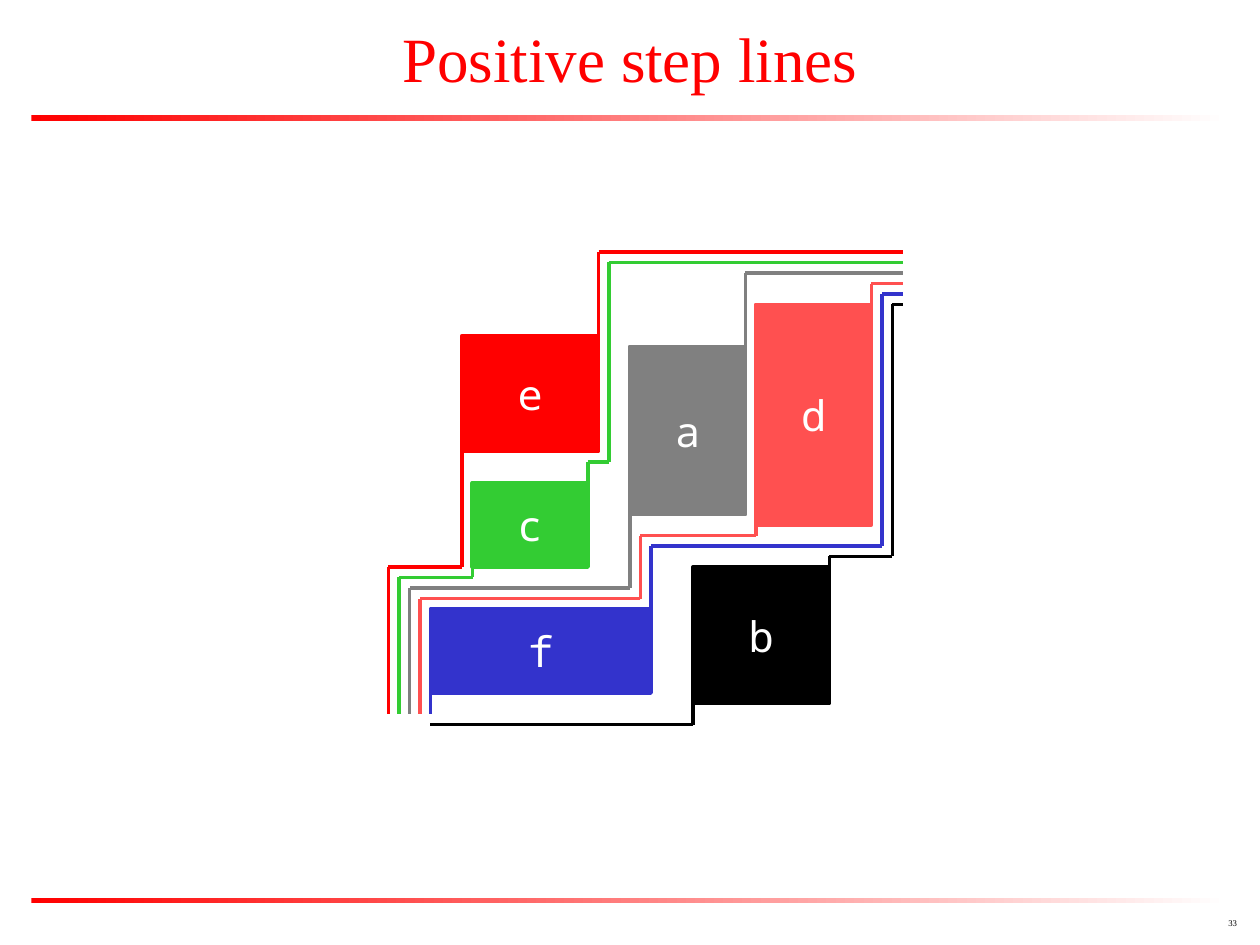
"""Build the slide on positive step lines of a block floorplan."""
from dataclasses import dataclass
from itertools import pairwise

from lxml import etree
from pptx import Presentation
from pptx import util as u
from pptx.dml.color import RGBColor
from pptx.enum import shapes, text
from pptx.oxml import ns


@dataclass(frozen=True)
class Theme:
    red: str = "FF0000"
    green: str = "33CC33"
    blue: str = "3333CC"
    gray: str = "808080"
    coral: str = "FF5050"
    black: str = "000000"
    white: str = "FFFFFF"
    serif: str = "Times New Roman"
    mono: str = "Noto Sans Mono"
    title_size: float = 36
    label_size: float = 24
    number_size: float = 5
    stroke: float = 2.25
    cell: float = 6


@dataclass(frozen=True)
class Block:
    """A floorplan block in grid cells; each route alternates a y and an x to turn at."""
    name: str
    color: str
    left: int
    top: int
    width: int
    height: int
    up: tuple[int, ...]
    down: tuple[int, ...]


THEME = Theme()
BLOCKS = (
    Block("e", THEME.red, 44, 32, 13, 11, (24, 86), (54, 37, 68)),
    Block("c", THEME.green, 45, 46, 11, 8, (44, 58, 25, 86), (55, 38, 68)),
    Block("f", THEME.blue, 41, 58, 21, 8, (52, 84, 28, 86), (68,)),
    Block("a", THEME.gray, 60, 33, 11, 16, (26, 86), (56, 39, 68)),
    Block("d", THEME.coral, 72, 29, 11, 21, (27, 86), (51, 61, 57, 40, 68)),
    Block("b", THEME.black, 66, 54, 13, 13, (53, 85, 29, 86), (69, 41)),
)


def rgb(color: str) -> RGBColor:
    return RGBColor.from_string(color)


def write(box, content: str, *, font: str, size: float, color: str,
          align=text.PP_ALIGN.CENTER, anchor=text.MSO_ANCHOR.MIDDLE,
          wrap: bool = True) -> None:
    frame = box.text_frame
    frame.word_wrap = wrap
    frame.vertical_anchor = anchor
    para = frame.paragraphs[0]
    para.alignment = align
    span = para.add_run()
    span.text = content
    span.font.name = font
    span.font.size = u.Pt(size)
    span.font.color.rgb = rgb(color)


def add_rectangle(page, left: float, top: float, width: float, height: float):
    box = page.shapes.add_shape(shapes.MSO_SHAPE.RECTANGLE, u.Pt(left), u.Pt(top),
                                u.Pt(width), u.Pt(height))
    box.shadow.inherit = False
    return box


def add_rule(page, top: float) -> None:
    bar = add_rectangle(page, 18, top, 684, 3)
    bar.line.fill.background()
    bar.fill.gradient()
    bar.fill.gradient_angle = 0
    for stop, color in zip(bar.fill.gradient_stops, (THEME.red, THEME.white)):
        stop.color.rgb = rgb(color)


def add_block(page, block: Block) -> None:
    sides = (block.left, block.top, block.width, block.height)
    box = add_rectangle(page, *(side * THEME.cell for side in sides))
    box.fill.solid()
    box.fill.fore_color.rgb = rgb(block.color)
    box.line.color.rgb = rgb(block.color)
    box.line.width = u.Pt(THEME.stroke)
    write(box, block.name, font=THEME.mono, size=THEME.label_size,
          color=THEME.white, wrap=False)


def add_route(page, x: int, y: int, turns: tuple[int, ...], color: str) -> None:
    points = [(x, y)]
    for index, turn in enumerate(turns):
        x, y = (turn, y) if index % 2 else (x, turn)
        points.append((x, y))
    for start, end in pairwise(points):
        ends = (u.Pt(value * THEME.cell) for value in start + end)
        line = page.shapes.add_connector(shapes.MSO_CONNECTOR.STRAIGHT, *ends)
        line.line.color.rgb = rgb(color)
        line.line.width = u.Pt(THEME.stroke)
        etree.SubElement(line._element.spPr, ns.qn("a:effectLst"))


def main() -> None:
    deck = Presentation()
    deck.slide_width, deck.slide_height = u.Pt(720), u.Pt(540)
    page = deck.slides.add_slide(deck.slide_layouts[6])
    for top in (66, 513):
        add_rule(page, top)

    number = page.shapes.add_textbox(u.Pt(564), u.Pt(516), u.Pt(150), u.Pt(18))
    write(number, "33", font=THEME.serif, size=THEME.number_size, color=THEME.black,
          align=text.PP_ALIGN.RIGHT, anchor=text.MSO_ANCHOR.BOTTOM)
    title = page.shapes.add_textbox(u.Pt(0), u.Pt(6), u.Pt(720), u.Pt(54))
    write(title, "Positive step lines", font=THEME.serif, size=THEME.title_size,
          color=THEME.red)

    for block in BLOCKS:
        add_block(page, block)
    for block in BLOCKS:
        add_route(page, block.left + block.width, block.top, block.up, block.color)
        add_route(page, block.left, block.top + block.height, block.down, block.color)
    deck.save("out.pptx")


if __name__ == "__main__":
    main()
